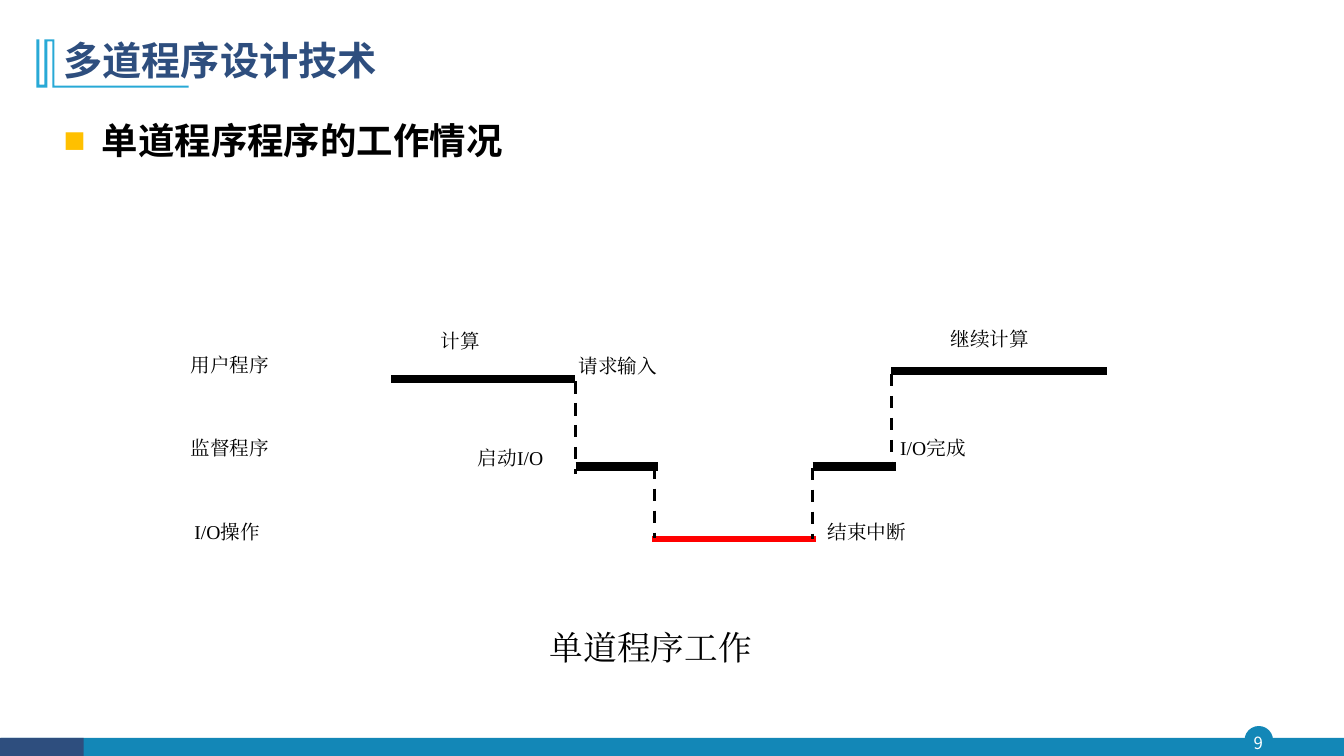
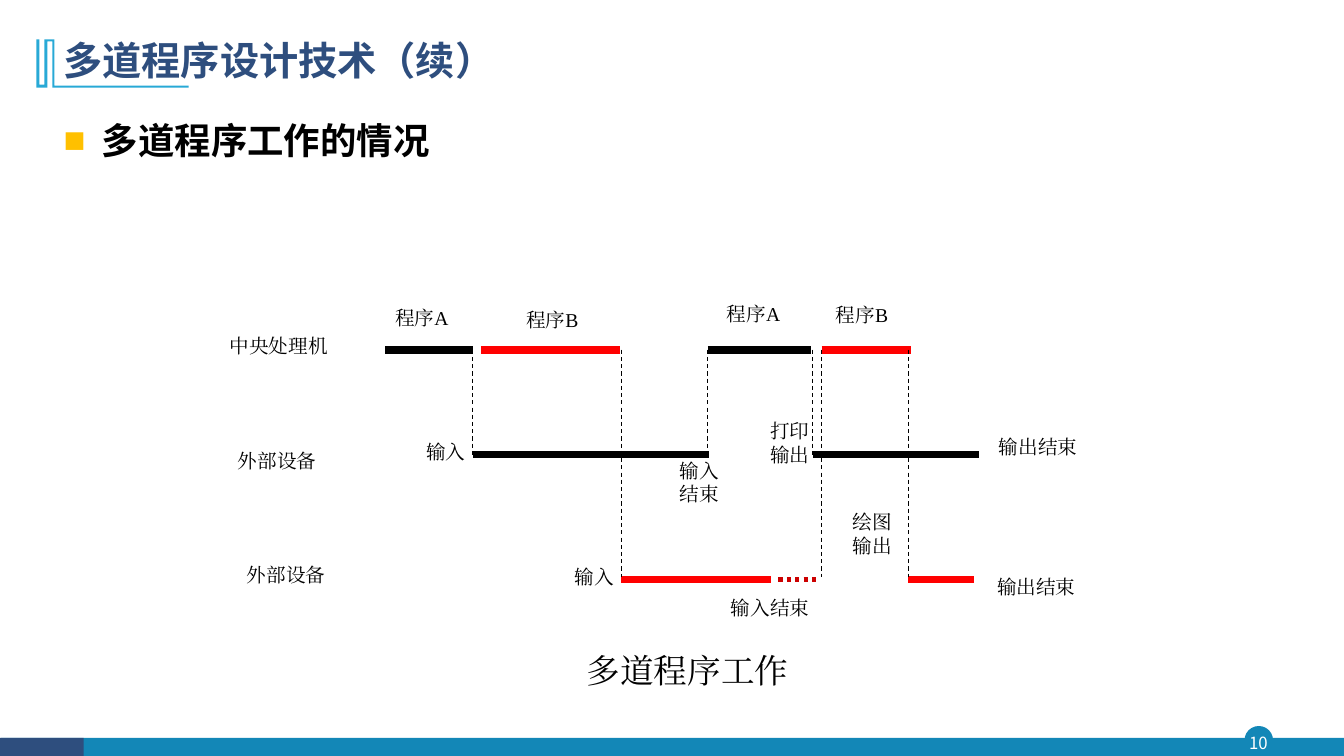
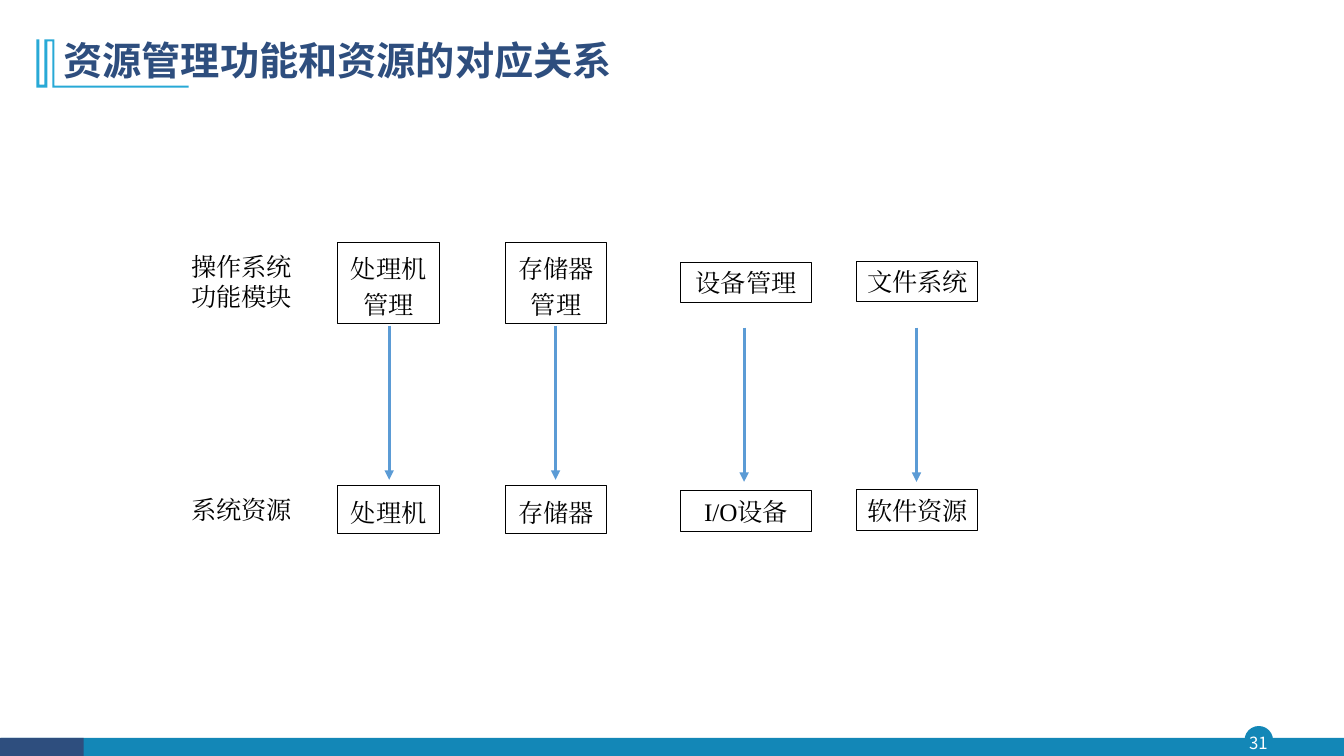
from dataclasses import dataclass
from typing import Optional

from lxml import etree
from pptx import Presentation
from pptx import util as u
from pptx.dml.color import RGBColor
from pptx.enum import dml, shapes, text
from pptx.oxml.ns import qn

# Shared style
BLACK = RGBColor(0x00, 0x00, 0x00)
WHITE = RGBColor(0xFF, 0xFF, 0xFF)
RED = RGBColor(0xFF, 0x00, 0x00)
DARK_RED = RGBColor(0xCC, 0x00, 0x00)
NAVY = RGBColor(0x2E, 0x4E, 0x7E)
TEAL = RGBColor(0x13, 0x87, 0xB7)
SKY = RGBColor(0x28, 0xA9, 0xD6)
ARROW_BLUE = RGBColor(0x5B, 0x9B, 0xD5)
BULLET_GOLD = "FFC000"
SANS = "Noto Sans CJK SC"
SERIF = "Times New Roman"
LEFT, CENTER, JUSTIFY = text.PP_ALIGN.LEFT, text.PP_ALIGN.CENTER, text.PP_ALIGN.JUSTIFY
DASH, DOTS = dml.MSO_LINE.DASH, dml.MSO_LINE.ROUND_DOT
TITLE_AND_BODY, TITLE_ONLY = 1, 5
ORNAMENT = [
    (0.54, 0.39), (0.54, 0.85), (1.87, 0.85), (1.87, 0.87), (0.52, 0.87),
    (0.52, 0.41), (0.47, 0.41), (0.47, 0.87), (0.36, 0.87), (0.36, 0.39),
    (0.39, 0.39), (0.39, 0.84), (0.44, 0.84), (0.44, 0.39),
]


@dataclass
class Style:
    size: float
    font: str = SERIF
    color: RGBColor = BLACK
    bold: bool = False
    align: text.PP_ALIGN = JUSTIFY
    spacing: float = 1.0


TITLE = Style(28, SANS, NAVY, True, LEFT, 0.9)
BODY = Style(26, SANS, BLACK, True, JUSTIFY, 1.5)
NUMBER = Style(12, SANS, WHITE, align=CENTER)
LABEL = Style(14)
CAPTION = Style(24, align=CENTER)
ROW_NAME = Style(18, align=LEFT)
NODE = Style(18, align=CENTER)
TALL_NODE = Style(18, align=CENTER, spacing=1.2)


@dataclass
class Label:
    words: str
    left: float
    top: float
    width: float
    height: float = 0.6


@dataclass
class Bar:
    """A horizontal stretch of activity."""
    start: float
    end: float
    y: float
    width: float = 6
    color: RGBColor = BLACK
    dash: Optional[dml.MSO_LINE] = None


@dataclass
class Drop:
    """A dashed vertical switch between two rows."""
    x: float
    top: float
    bottom: float


@dataclass
class Pair:
    """A management module and the resource it controls."""
    module: str
    resource: str
    left: float
    width: float
    module_top: float
    module_height: float
    resource_top: float
    resource_height: float
    arrow_x: float
    arrow_top: float
    style: Style


# Drawing helpers
def place(box, left: float, top: float, width: float, height: float) -> None:
    box.left, box.top = u.Inches(left), u.Inches(top)
    box.width, box.height = u.Inches(width), u.Inches(height)


def write(box, words: str, style: Style, grow: bool = False) -> None:
    frame = box.text_frame
    frame.text = words
    frame.word_wrap = True
    frame.auto_size = (text.MSO_AUTO_SIZE.SHAPE_TO_FIT_TEXT if grow
                       else text.MSO_AUTO_SIZE.NONE)
    for para in frame.paragraphs:
        para.alignment, para.line_spacing = style.align, style.spacing
        for span in para.runs:
            span.font.name, span.font.size = style.font, u.Pt(style.size)
            span.font.bold, span.font.color.rgb = style.bold, style.color
    for props in box.element.iter(qn("a:rPr")):
        etree.SubElement(props, qn("a:ea"), typeface=style.font)


def add_label(page, label: Label, style: Style = LABEL, grow: bool = False):
    box = page.shapes.add_textbox(u.Inches(label.left), u.Inches(label.top),
                                  u.Inches(label.width), u.Inches(label.height))
    write(box, label.words, style, grow)
    return box


def paint(shape, fill: Optional[RGBColor], line: Optional[RGBColor] = None,
          width: float = 1) -> None:
    shape.shadow.inherit = False
    if fill is None:
        shape.fill.background()
    else:
        shape.fill.solid()
        shape.fill.fore_color.rgb = fill
    if line is None:
        shape.line.fill.background()
    else:
        shape.line.color.rgb, shape.line.width = line, u.Pt(width)


def add_preset(page, kind, left: float, top: float, width: float, height: float):
    return page.shapes.add_shape(kind, u.Inches(left), u.Inches(top),
                                 u.Inches(width), u.Inches(height))


def add_line(page, x1: float, y1: float, x2: float, y2: float, width: float,
             color: RGBColor = BLACK, dash: Optional[dml.MSO_LINE] = None,
             arrow: bool = False) -> None:
    line = page.shapes.add_connector(
        shapes.MSO_CONNECTOR.STRAIGHT,
        u.Inches(x1), u.Inches(y1), u.Inches(x2), u.Inches(y2))
    line.line.color.rgb, line.line.width = color, u.Pt(width)
    if dash is not None:
        line.line.dash_style = dash
    props = line.element.spPr
    if arrow:
        etree.SubElement(props.find(qn("a:ln")), qn("a:tailEnd"), type="triangle")
    etree.SubElement(props, qn("a:effectLst"))


def add_bullet(box) -> None:
    for props in box.element.iter(qn("a:pPr")):
        props.set("marL", str(u.Inches(0.38)))
        props.set("indent", str(u.Inches(-0.38)))
        color = etree.SubElement(props, qn("a:buClr"))
        etree.SubElement(color, qn("a:srgbClr"), val=BULLET_GOLD)
        etree.SubElement(props, qn("a:buFont"), typeface=SERIF)
        etree.SubElement(props, qn("a:buChar"), char="■")


def add_page(deck, number: int, title: str, topic: Optional[str] = None):
    layout = TITLE_ONLY if topic is None else TITLE_AND_BODY
    page = deck.slides.add_slide(deck.slide_layouts[layout])

    # Footer band and page number
    rectangle = shapes.MSO_SHAPE.RECTANGLE
    paint(add_preset(page, shapes.MSO_SHAPE.OVAL, 12.35, 7.21, 0.27, 0.27), TEAL, TEAL)
    paint(add_preset(page, rectangle, 0.01, 7.32, 13.32, 0.19), TEAL)
    paint(add_preset(page, rectangle, 0, 7.32, 0.83, 0.19), NAVY)
    badge = add_label(page, Label(str(number), 12.32, 7.21, 0.32, 0.31), NUMBER)
    frame = badge.text_frame
    frame.vertical_anchor = text.MSO_ANCHOR.MIDDLE
    frame.margin_left = frame.margin_right = frame.margin_top = frame.margin_bottom = 0

    # Title ornament
    points = [(u.Inches(x), u.Inches(y)) for x, y in ORNAMENT]
    builder = page.shapes.build_freeform(*points[0])
    builder.add_line_segments(points[1:], close=True)
    paint(builder.convert_to_shape(), SKY)

    # Title and topic
    place(page.shapes.title, 0.53, 0.34, 10.49, 0.56)
    write(page.shapes.title, title, TITLE)
    if topic is not None:
        body = page.placeholders[1]
        place(body, 0.53, 0.91, 12.35, 6.4)
        write(body, topic, BODY)
        body.text_frame.paragraphs[0].space_before = u.Pt(10)
        add_bullet(body)
    return page


def draw_timeline(page, labels: list[Label], bars: list[Bar], drops: list[Drop],
                  drop_width: float, caption: Label) -> None:
    for label in labels:
        add_label(page, label)
    for bar in bars:
        add_line(page, bar.start, bar.y, bar.end, bar.y, bar.width, bar.color, bar.dash)
    for drop in drops:
        add_line(page, drop.x, drop.top, drop.x, drop.bottom, drop_width, dash=DASH)
    add_label(page, caption, CAPTION, grow=True)


def draw_pair(page, pair: Pair) -> None:
    for words, top, height in (
            (pair.module, pair.module_top, pair.module_height),
            (pair.resource, pair.resource_top, pair.resource_height)):
        node = add_preset(page, shapes.MSO_SHAPE.RECTANGLE,
                          pair.left, top, pair.width, height)
        paint(node, None, BLACK, 0.75)
        write(node, words, pair.style, grow=True)
    add_line(page, pair.arrow_x, pair.arrow_top, pair.arrow_x, pair.arrow_top + 1.53,
             2.25, ARROW_BLUE, arrow=True)


deck = Presentation()
deck.slide_width, deck.slide_height = u.Inches(13.33), u.Inches(7.5)

# Single program timeline
single = add_page(deck, 9, "多道程序设计技术", "单道程序程序的工作情况")
draw_timeline(
    single,
    labels=[
        Label("用户程序", 1.79, 3.45, 1.96),
        Label("监督程序", 1.79, 4.28, 2.35),
        Label("I/O操作", 1.83, 5.11, 2.2),
        Label("计算", 4.27, 3.21, 1.44),
        Label("请求输入", 5.64, 3.46, 1.97),
        Label("启动I/O", 4.64, 4.37, 2.22),
        Label("I/O完成", 8.83, 4.28, 2.02),
        Label("继续计算", 9.33, 3.19, 1.78),
        Label("结束中断", 8.11, 5.11, 2.09),
    ],
    bars=[
        Bar(3.88, 5.7, 3.76),
        Bar(5.71, 6.53, 4.63),
        Bar(6.47, 8.09, 5.35, 4.5, RED),
        Bar(8.06, 8.89, 4.63),
        Bar(8.84, 10.98, 3.68),
    ],
    drops=[
        Drop(5.71, 3.78, 4.7), Drop(6.49, 4.63, 5.34),
        Drop(8.06, 4.64, 5.35), Drop(8.84, 3.71, 4.63),
    ],
    drop_width=2.25,
    caption=Label("单道程序工作", 4.79, 6.17, 3.33, 0.5),
)

# Multiple program timeline
CPU_Y, DEVICE_A_Y, DEVICE_B_Y, DROP_END = 3.47, 4.51, 5.75, 5.72
multiple = add_page(deck, 10, "多道程序设计技术（续）", "多道程序工作的情况")
draw_timeline(
    multiple,
    labels=[
        Label("中央处理机", 2.18, 3.26, 1.56, 0.83),
        Label("外部设备", 2.26, 4.4, 1.32),
        Label("外部设备", 2.35, 5.54, 1.32),
        Label("程序A", 3.82, 2.99, 1.04),
        Label("程序B", 5.12, 3.01, 1.08),
        Label("程序A", 7.11, 2.95, 1.04),
        Label("程序B", 8.19, 2.96, 1.04),
        Label("输入", 4.13, 4.32, 0.72),
        Label("输入\n结束", 6.64, 4.5, 0.82, 0.89),
        Label("打印\n输出", 7.54, 4.11, 0.78, 0.83),
        Label("输出结束", 9.81, 4.27, 1.23),
        Label("输入", 5.6, 5.56, 0.76, 0.42),
        Label("输入结束", 7.15, 5.86, 1.34, 0.52),
        Label("绘图\n输出", 8.36, 5.01, 0.82, 0.84),
        Label("输出结束", 9.79, 5.65, 1.38, 0.76),
    ],
    bars=[
        Bar(3.82, 4.69, CPU_Y),
        Bar(4.77, 6.15, CPU_Y, color=RED),
        Bar(7.02, 8.04, CPU_Y),
        Bar(8.15, 9.04, CPU_Y, color=RED),
        Bar(4.69, 7.03, DEVICE_A_Y, 4.5),
        Bar(8.06, 9.71, DEVICE_A_Y, 4.5),
        Bar(6.16, 7.65, DEVICE_B_Y, 4.5, RED),
        Bar(7.72, 8.13, DEVICE_B_Y, 3, DARK_RED, DOTS),
        Bar(9.01, 9.66, DEVICE_B_Y, 4.5, RED),
    ],
    drops=[Drop(x, CPU_Y, DEVICE_A_Y) for x in (4.69, 7.02, 8.06)]
    + [Drop(x, CPU_Y, DROP_END) for x in (6.16, 8.15, 9.01)],
    drop_width=0.75,
    caption=Label("多道程序工作", 5.32, 6.4, 3, 0.5),
)

# Modules and the resources they manage
mapping = add_page(deck, 31, "资源管理功能和资源的对应关系")
for row_name in (Label("操作系统功能模块", 1.8, 2.44, 1.27, 0.71),
                 Label("系统资源", 1.8, 4.85, 1.27, 0.4)):
    add_label(mapping, row_name, ROW_NAME, grow=True)
for pair in (
    Pair("处理机管理", "处理机", 3.35, 1.01, 2.41, 0.8, 4.82, 0.47, 3.86, 3.23, TALL_NODE),
    Pair("存储器管理", "存储器", 5.01, 1.01, 2.41, 0.8, 4.82, 0.47, 5.51, 3.23, TALL_NODE),
    Pair("设备管理", "I/O设备", 6.75, 1.3, 2.6, 0.4, 4.87, 0.4, 7.38, 3.25, NODE),
    Pair("文件系统", "软件资源", 8.5, 1.2, 2.59, 0.4, 4.86, 0.4, 9.09, 3.25, NODE),
):
    draw_pair(mapping, pair)

deck.save("out.pptx")
